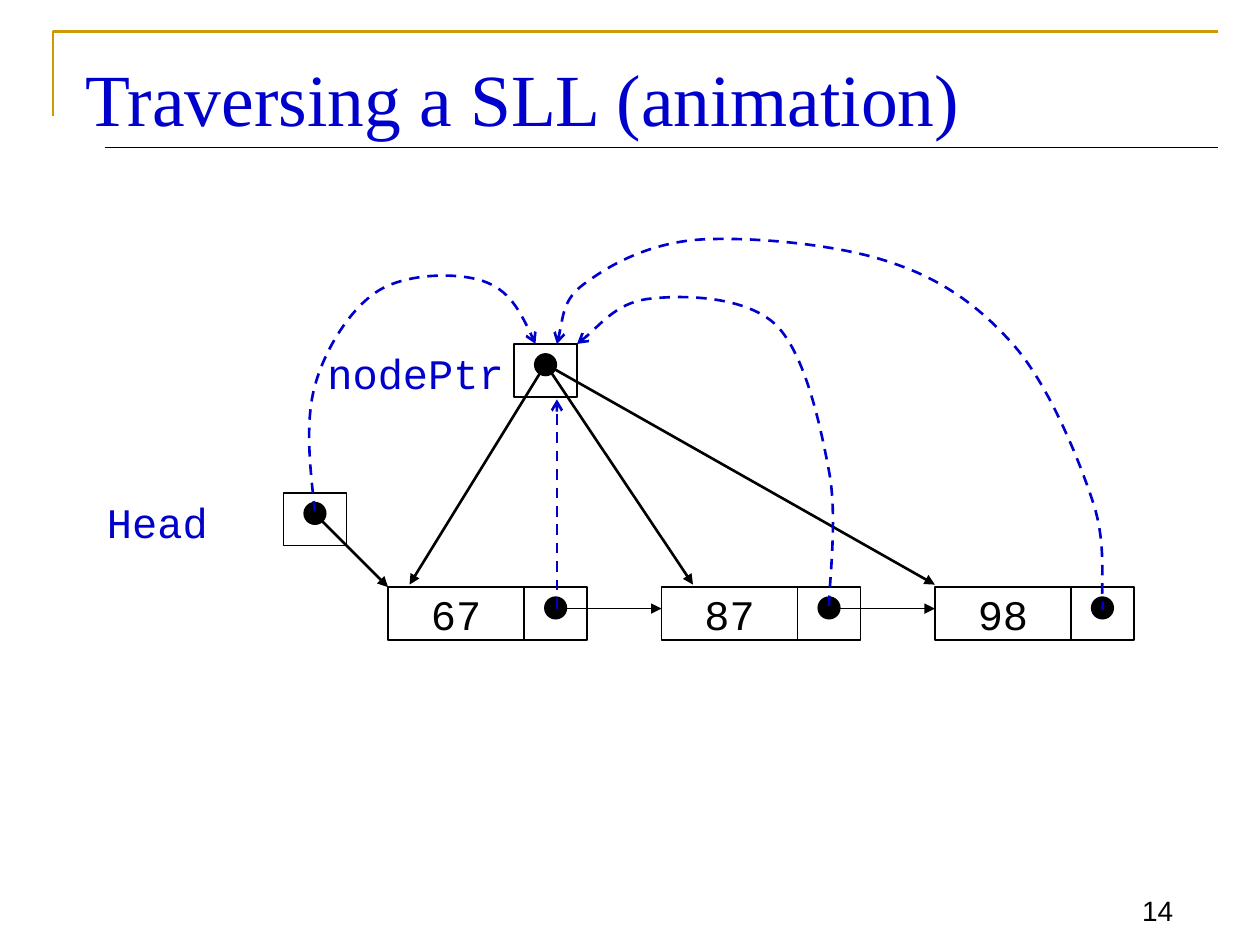
from lxml.etree import SubElement
from pptx import Presentation
from pptx.dml.color import RGBColor
from pptx.enum.dml import MSO_LINE
from pptx.enum.shapes import MSO_CONNECTOR, MSO_SHAPE
from pptx.enum.text import MSO_ANCHOR as Anchor, PP_ALIGN as Align
from pptx.oxml.ns import qn
from pptx.util import Inches, Pt

COLORS = {"ink": "000000", "accent": "0000CC", "frame": "CC9900"}
CODE_FONT = "Courier New"
VALUE_WIDTH, POINTER_WIDTH, CELL_HEIGHT = 1.08, 0.5, 0.42
DOT_SIZE = 0.17
LIST_LEFT, LIST_TOP, NODE_STEP = 3.08, 4.66, 2.17


def color(name):
    return RGBColor.from_string(COLORS[name])


def style_line(shape, name, width, arrow=None, dashed=False):
    shape.line.color.rgb = color(name)
    shape.line.width = Pt(width)
    if dashed:
        shape.line.dash_style = MSO_LINE.DASH
    if arrow:
        SubElement(shape.line._get_or_add_ln(), qn("a:tailEnd"), type=arrow)


def write(shape, text, font, size, name, align=Align.LEFT, anchor=Anchor.TOP, wrap=True):
    frame = shape.text_frame
    frame.word_wrap = wrap
    frame.vertical_anchor = anchor
    paragraph = frame.paragraphs[0]
    paragraph.text = text
    paragraph.alignment = align
    paragraph.font.name = font
    paragraph.font.size = Pt(size)
    paragraph.font.color.rgb = color(name)


def add_text(slide, box, *text_style, **layout):
    write(slide.shapes.add_textbox(*map(Inches, box)), *text_style, **layout)


def add_box(slide, kind, box, filled=False):
    shape = slide.shapes.add_shape(kind, *map(Inches, box))
    shape.shadow.inherit = False
    if filled:
        shape.fill.solid()
        shape.fill.fore_color.rgb = color("ink")
    else:
        shape.fill.background()
    style_line(shape, "ink", 1)
    return shape


def add_line(slide, start, end, name="ink", width=1.5, arrow=None, dashed=False):
    line = slide.shapes.add_connector(MSO_CONNECTOR.STRAIGHT, *map(Inches, start + end))
    style_line(line, name, width, arrow, dashed)
    SubElement(line._element.spPr, qn("a:effectLst"))


def add_outline(slide, points, name, arrow=None, dashed=False):
    start, *others = [(Inches(x), Inches(y)) for x, y in points]
    builder = slide.shapes.build_freeform(*start)
    builder.add_line_segments(others, close=False)
    shape = builder.convert_to_shape()
    shape.shadow.inherit = False
    shape.fill.background()
    style_line(shape, name, 1.5, arrow, dashed)
    return shape


def add_curve(slide, points):
    shape = add_outline(slide, points, "accent", "arrow", True)
    outline = next(shape._element.iter(qn("a:pathLst")))[0]
    segments = outline.findall(qn("a:lnTo"))
    for index in range(0, len(segments), 3):
        curve = SubElement(outline, qn("a:cubicBezTo"))
        for segment in segments[index:index + 3]:
            curve.append(segment[0])
            outline.remove(segment)


def add_header(slide, left, top, width):
    right = left + width
    add_outline(slide, [(left, top + 0.67), (left, top), (right, top)], "frame")
    add_line(slide, (left + 0.41, top + 0.92), (right, top + 0.92), width=0.75)
    add_text(slide, (left + 0.16, top + 0.08, width - 0.17, 0.84),
             "Traversing a SLL (animation)", "Times New Roman", 42, "accent",
             anchor=Anchor.BOTTOM)


def add_pointer(slide, left, top):
    add_box(slide, MSO_SHAPE.RECTANGLE, (left, top, POINTER_WIDTH, CELL_HEIGHT))
    add_box(slide, MSO_SHAPE.OVAL,
            (left + (POINTER_WIDTH - DOT_SIZE) / 2, top + 0.08, DOT_SIZE, DOT_SIZE), True)


def add_named_pointer(slide, left, top, label, label_offset, label_width):
    add_pointer(slide, left, top)
    add_text(slide, (left - label_offset, top - 0.02, label_width, 0.51),
             label, CODE_FONT, 24, "accent")


def add_node(slide, left, top, value):
    cell = add_box(slide, MSO_SHAPE.RECTANGLE, (left, top, VALUE_WIDTH, CELL_HEIGHT))
    write(cell, value, CODE_FONT, 24, "ink", Align.CENTER, Anchor.MIDDLE, False)
    add_pointer(slide, left + VALUE_WIDTH, top)


def add_list(slide, left, top, values):
    for index, value in enumerate(values):
        node_left = left + index * NODE_STEP
        add_node(slide, node_left, top, value)
        if index < len(values) - 1:
            add_line(slide, (node_left + 1.33, top + 0.17),
                     (node_left + NODE_STEP, top + 0.17), width=1, arrow="triangle")


def add_traversal(slide, left, top):
    for target in [(3.25, 4.64), (5.5, 4.64), (7.42, 4.64)]:
        add_line(slide, (left + 0.25, top + 0.16), target, arrow="triangle")
    add_line(slide, (4.42, 4.83), (left + 0.34, top + 0.44), "accent",
             arrow="arrow", dashed=True)
    from_head = [(2.5, 4.06), (2.46, 3.71), (2.42, 3.35), (2.5, 3.06),
                 (2.58, 2.77), (2.78, 2.45), (3, 2.31),
                 (3.22, 2.17), (3.62, 2.16), (3.83, 2.23),
                 (4.04, 2.3), (4.15, 2.51), (left + 0.17, top)]
    from_second = [(6.58, 4.81), (6.58, 4.63), (6.65, 4.11), (6.58, 3.74),
                   (6.51, 3.37), (6.39, 2.81), (6.16, 2.58),
                   (5.92, 2.35), (5.43, 2.34), (5.17, 2.37),
                   (4.91, 2.39), (4.7, 2.65), (left + 0.5, top)]
    from_third = [(8.75, 4.81), (8.75, 4.84), (8.76, 4.87), (8.75, 4.73),
                  (8.74, 4.59), (8.78, 4.29), (8.67, 3.97),
                  (8.56, 3.64), (8.34, 3.1), (8.08, 2.78),
                  (7.82, 2.47), (7.51, 2.23), (7.09, 2.09),
                  (6.67, 1.94), (5.99, 1.88), (5.58, 1.9),
                  (5.18, 1.92), (4.86, 2.09), (4.67, 2.23),
                  (4.47, 2.36), (4.47, 2.55), (left + 0.34, top)]
    for points in (from_head, from_second, from_third):
        add_curve(slide, points)


def main():
    presentation = Presentation()
    presentation.slide_width = Inches(10)
    presentation.slide_height = Inches(7.5)
    slide = presentation.slides.add_slide(presentation.slide_layouts[6])
    add_header(slide, 0.42, 0.25, 9.25)
    add_text(slide, (8.75, 6.92, 0.66, 0.49), "14", "Arial", 16, "ink",
             align=Align.RIGHT, anchor=Anchor.BOTTOM)
    add_list(slide, LIST_LEFT, LIST_TOP, ["67", "87", "98"])
    add_named_pointer(slide, 2.25, 3.91, "Head", 1.5, 1.58)
    add_line(slide, (2.5, 4.08), (LIST_LEFT, LIST_TOP), arrow="triangle")
    add_named_pointer(slide, 4.08, 2.73, "nodePtr", 1.58, 1.83)
    add_traversal(slide, 4.08, 2.73)
    presentation.save("out.pptx")


if __name__ == "__main__":
    main()
